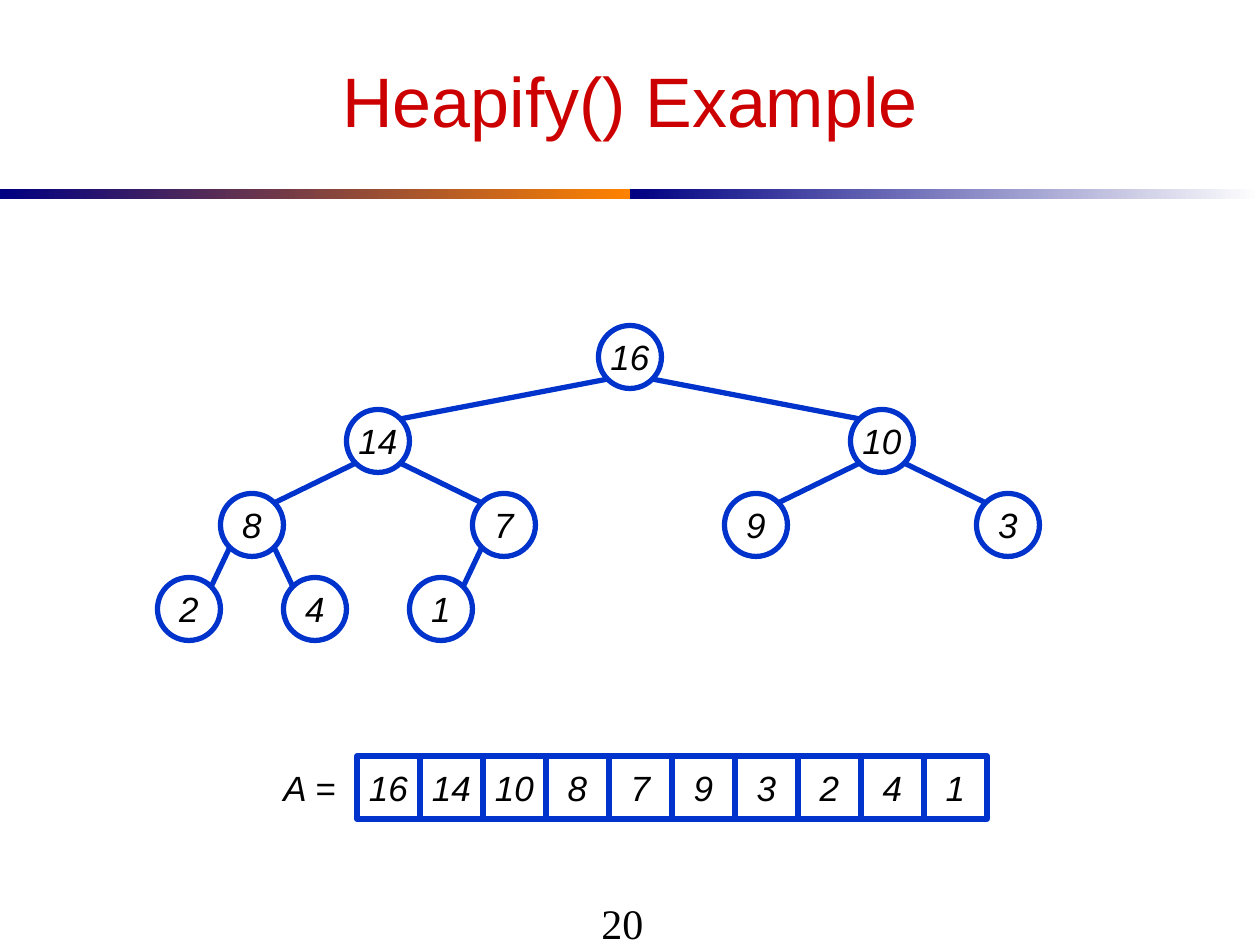
from pptx import Presentation
from pptx.dml.color import RGBColor
from pptx.enum.shapes import MSO_CONNECTOR, MSO_SHAPE
from pptx.enum.text import MSO_ANCHOR, PP_ALIGN
from pptx.oxml.ns import qn
from pptx.util import Pt
from lxml.etree import SubElement

EMU_PER_PX = 914400 / 126
HEAP = [16, 14, 10, 8, 7, 9, 3, 2, 4, 1]
NODE = 63
ROOT_X, ROOT_Y = 630, 357
LEVEL_GAP = 84
BRANCH = 504  # halves at every level
EDGE_INSET = 22  # from a node's centre to its rim, along the diagonal


def px(length):
    return round(length * EMU_PER_PX)


def color(hex_string):
    return RGBColor.from_string(hex_string)


class HeapSlide:
    FONT = "Arial"
    INK = "000000"
    LINE = "0033CC"
    PAPER = "FFFFFF"
    LINE_WIDTH = Pt(3)

    def __init__(self, slide):
        self.shapes = slide.shapes

    def set_text(self, shape, text, size, ink=INK, font=FONT, italic=False,
                 align=PP_ALIGN.CENTER, wrap=True):
        frame = shape.text_frame
        frame.word_wrap = wrap
        frame.vertical_anchor = MSO_ANCHOR.MIDDLE
        paragraph = frame.paragraphs[0]
        paragraph.text = text
        paragraph.alignment = align
        paragraph.font.name = font
        paragraph.font.size = Pt(size)
        paragraph.font.italic = italic
        paragraph.font.color.rgb = color(ink)
        return paragraph

    def label(self, text, left, top, width, height, size, **style):
        box = self.shapes.add_textbox(*map(px, (left, top, width, height)))
        return self.set_text(box, text, size, **style)

    def gradient_bar(self, left, top, width, height, start, end):
        bar = self.shapes.add_shape(
            MSO_SHAPE.RECTANGLE, *map(px, (left, top, width, height)))
        bar.shadow.inherit = False
        bar.line.fill.background()
        bar.fill.gradient()
        bar.fill.gradient_angle = 0
        for stop, position, tone in zip(bar.fill.gradient_stops, (0, 1), (start, end)):
            stop.position = position
            stop.color.rgb = color(tone)

    def value(self, preset, number, left, top):
        """Draw one heap value in an outlined tree node or array cell."""
        holder = self.shapes.add_shape(
            preset, *map(px, (left, top, NODE, NODE)))
        holder.shadow.inherit = False
        holder.fill.solid()
        holder.fill.fore_color.rgb = color(self.PAPER)
        holder.line.color.rgb = color(self.LINE)
        holder.line.width = self.LINE_WIDTH
        self.set_text(holder, str(number), 20, italic=True, wrap=False)

    def edge(self, parent, child):
        """Join the rims of two nodes given by their centres."""
        side = EDGE_INSET if child[0] > parent[0] else -EDGE_INSET
        line = self.shapes.add_connector(
            MSO_CONNECTOR.STRAIGHT,
            px(parent[0] + side), px(parent[1] + EDGE_INSET),
            px(child[0] - side), px(child[1] - EDGE_INSET))
        line.line.color.rgb = color(self.LINE)
        line.line.width = self.LINE_WIDTH
        SubElement(line._element.spPr, qn("a:effectLst"))


def node_center(index):
    """Centre of a heap node, counted from 1 at the root."""
    level = index.bit_length() - 1
    row_size = 2 ** level
    place = index - row_size
    offset = (2 * place + 1 - row_size) * BRANCH // row_size
    return ROOT_X + offset, ROOT_Y + level * LEVEL_GAP


def main():
    presentation = Presentation()
    presentation.slide_width = px(1260)
    presentation.slide_height = px(945)
    page = HeapSlide(presentation.slides.add_slide(presentation.slide_layouts[6]))

    page.gradient_bar(0, 189, 630, 10, "000082", "FF8200")
    page.gradient_bar(630, 189, 630, 10, "000082", "FFFFFF")
    page_number = page.label("20", 63, 867, 1133, 112, 24,
                             font="Times New Roman", align=PP_ALIGN.LEFT)
    page_number._p.get_or_add_pPr().set("marL", str(px(526)))
    page.label("Heapify() Example", 63, 32, 1134, 136, 40, ink="CC0000")

    centers = [node_center(index) for index in range(1, len(HEAP) + 1)]
    for number, (x, y) in zip(HEAP, centers):
        page.value(MSO_SHAPE.OVAL, number, x - NODE / 2, y - NODE / 2)
    for child in range(1, len(HEAP)):
        page.edge(centers[(child - 1) // 2], centers[child])

    for position, number in enumerate(HEAP):
        page.value(MSO_SHAPE.RECTANGLE, number, 357 + position * NODE, 756)
    page.label("A =", 262, 756, 95, NODE, 20, italic=True, wrap=False)

    presentation.save("out.pptx")


if __name__ == "__main__":
    main()
